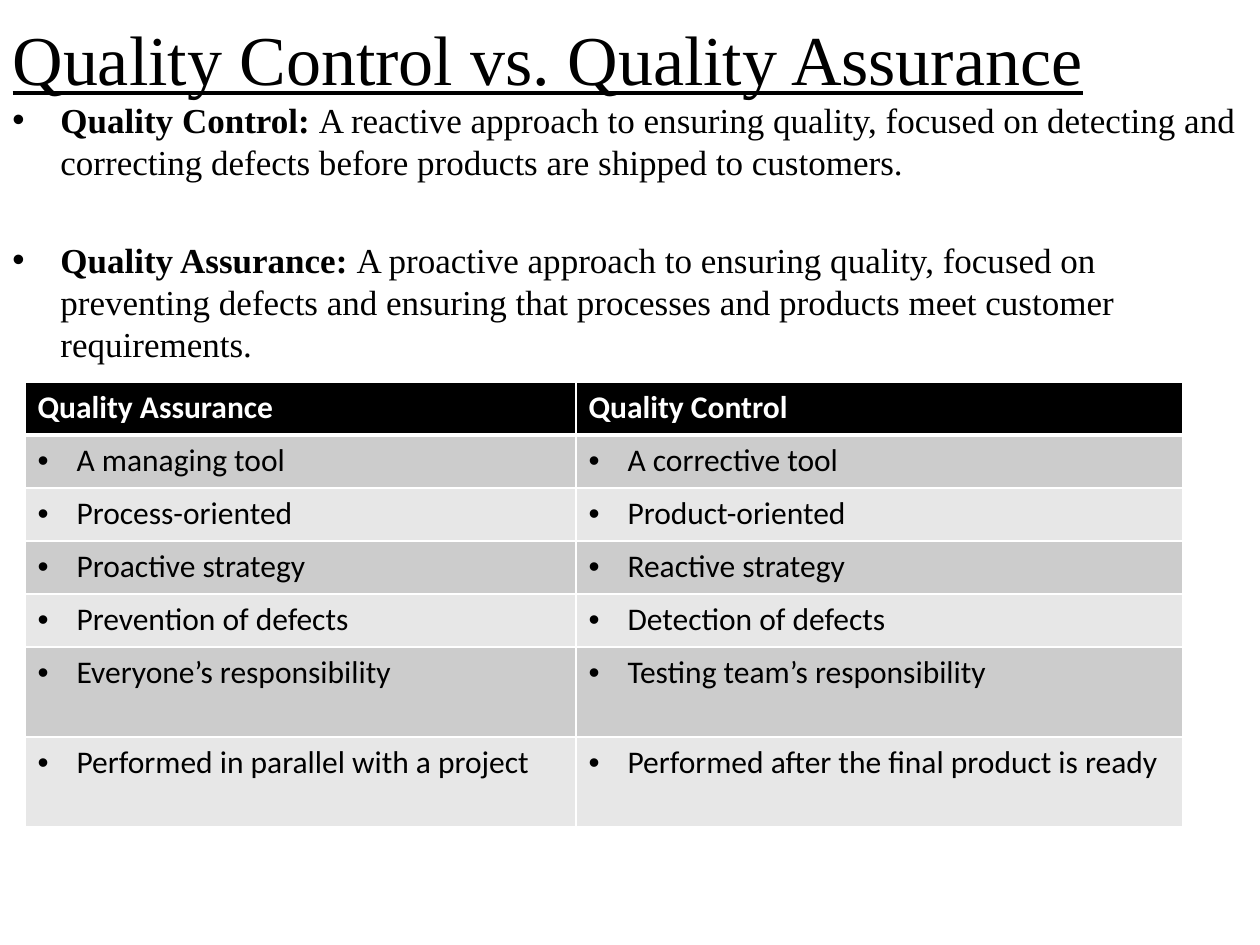
from pptx import Presentation, util as u
from pptx.dml.color import RGBColor
from pptx.enum import text
from pptx.oxml import parse_xml
from pptx.oxml.ns import nsdecls

PX = 914400 // 126
HUES = {"ink": "000000", "white": "FFFFFF", "dark": "CCCCCC", "light": "E7E7E7"}
SERIF, SANS = "Times New Roman", "Calibri"


def style(para, face, size, hue, bold=False):
    font = para.font
    font.name, font.size, font.bold = face, u.Pt(size), bold
    font.color.rgb = RGBColor.from_string(HUES[hue])


def bullet(para, indent):
    props = para._p.get_or_add_pPr()
    props.set("marL", str(indent * PX))
    props.set("indent", str(-indent * PX))
    props.append(parse_xml(f'<a:buFont {nsdecls("a")} typeface="Arial"/>'))
    props.append(parse_xml(f'<a:buChar {nsdecls("a")} char="•"/>'))


deck = Presentation()
deck.slide_width, deck.slide_height = 1260 * PX, 945 * PX
slide = deck.slides.add_slide(deck.slide_layouts[5])

# Title
title = slide.shapes.title
title.left, title.top, title.width, title.height = 0, 9 * PX, 1260 * PX, 83 * PX
frame = title.text_frame
frame.text = "Quality Control vs. Quality Assurance"
frame.auto_size = text.MSO_AUTO_SIZE.NONE
frame.vertical_anchor = text.MSO_ANCHOR.TOP
head = frame.paragraphs[0]
head.alignment = text.PP_ALIGN.LEFT
style(head, SERIF, 40, "ink")
head.font.underline = True

# Definitions
terms = [
    ("Quality Control: ", "A reactive approach to ensuring quality, focused on "
     "detecting and correcting defects before products are shipped to customers."),
    ("Quality Assurance: ", "A proactive approach to ensuring quality, focused on "
     "preventing defects and ensuring that processes and products meet customer "
     "requirements."),
]
frame = slide.shapes.add_textbox(0, 92 * PX, 1260 * PX, 280 * PX).text_frame
frame.word_wrap = True
for i, (term, sense) in enumerate(terms):
    para = frame.add_paragraph() if i else frame.paragraphs[0]
    bullet(para, 48)
    style(para, SERIF, 20, "ink")
    para.line_spacing = u.Pt(24)
    if i:
        para.space_before = u.Pt(32)
    lead = para.add_run()
    lead.text = term
    lead.font.bold = True
    para.add_run().text = sense

# Comparison table
rows = [
    ("Quality Assurance", "Quality Control"),
    ("A managing tool", "A corrective tool"),
    ("Process-oriented", "Product-oriented"),
    ("Proactive strategy", "Reactive strategy"),
    ("Prevention of defects", "Detection of defects"),
    ("Everyone’s responsibility", "Testing team’s responsibility"),
    ("Performed in parallel with a project",
     "Performed after the final product is ready"),
]
wide, high = [551, 607], [53] * 5 + [90] * 2
grid = slide.shapes.add_table(len(rows), 2, 25 * PX, 382 * PX,
                              sum(wide) * PX, sum(high) * PX).table
for col, size in zip(grid.columns, wide):
    col.width = size * PX
for row, size in zip(grid.rows, high):
    row.height = size * PX

for r, row in enumerate(rows):
    for c, words in enumerate(row):
        cell = grid.cell(r, c)
        cell.text = words
        para = cell.text_frame.paragraphs[0]
        if r:
            bullet(para, 39)
            style(para, SANS, 18, "ink")
        else:
            style(para, SANS, 18, "white", True)
        fill = "ink" if r == 0 else "dark" if r % 2 else "light"
        cell.fill.solid()
        cell.fill.fore_color.rgb = RGBColor.from_string(HUES[fill])

        # White borders, thicker under the header
        props = cell._tc.get_or_add_tcPr()
        for n, side in enumerate("LRTB"):
            thick = 3 if (r, side) in ((0, "B"), (1, "T")) else 1
            props.insert(n, parse_xml(
                f'<a:ln{side} {nsdecls("a")} w="{u.Pt(thick)}"><a:solidFill>'
                f'<a:srgbClr val="{HUES["white"]}"/></a:solidFill></a:ln{side}>'))

deck.save("out.pptx")
